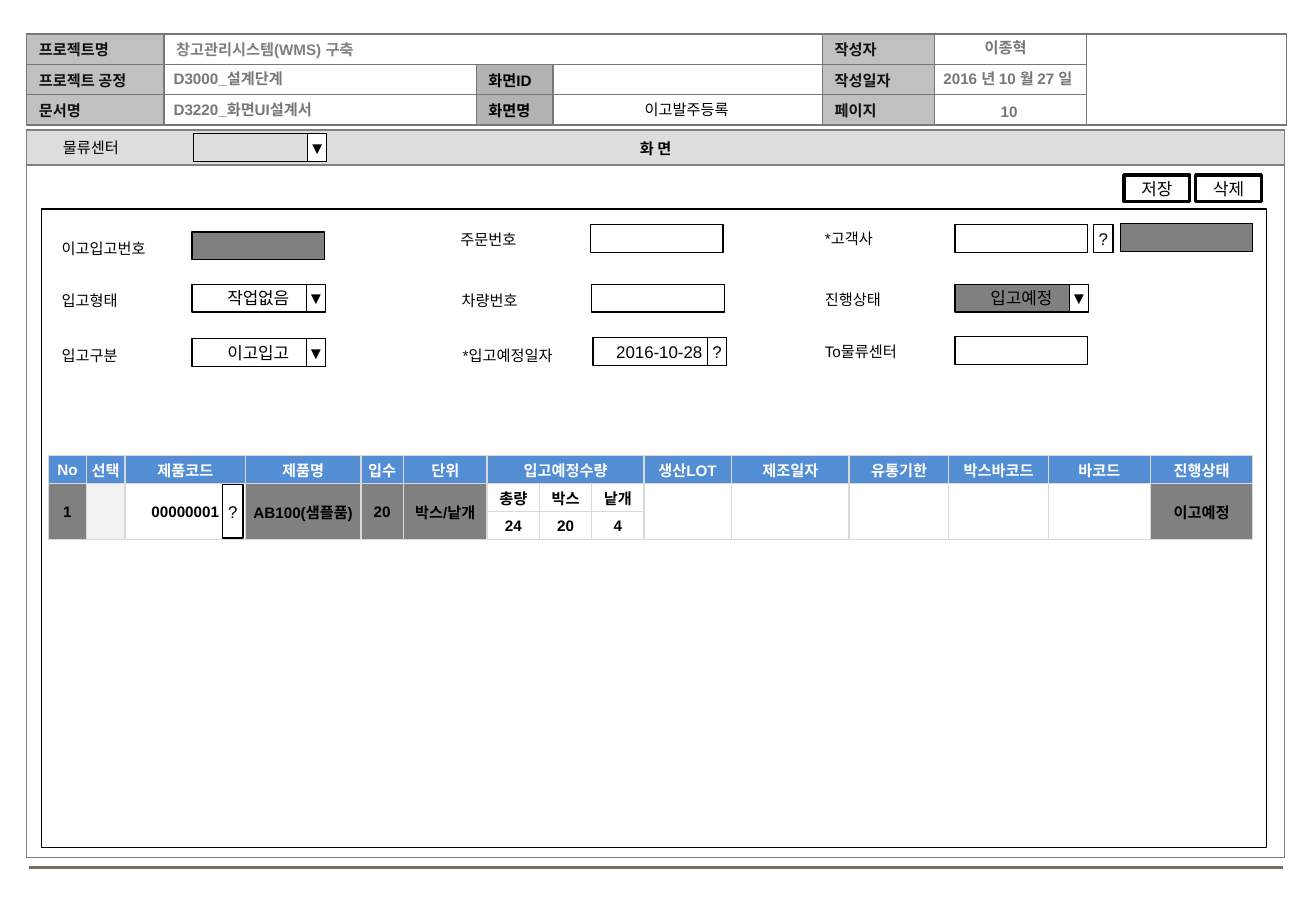
from lxml import etree
from pptx import Presentation
from pptx.dml.color import RGBColor
from pptx.enum.shapes import MSO_CONNECTOR, MSO_SHAPE
from pptx.enum.text import MSO_ANCHOR, PP_ALIGN
from pptx.oxml.ns import qn
from pptx.util import Inches, Pt

RECT = MSO_SHAPE.RECTANGLE
STRAIGHT = MSO_CONNECTOR.STRAIGHT
LEFT, CENTER = PP_ALIGN.LEFT, PP_ALIGN.CENTER
MIDDLE = MSO_ANCHOR.MIDDLE
FONT = "Arial"
COLORS = {
    "black": "000000", "white": "FFFFFF", "ink": "111111", "muted": "777777",
    "gray": "808080", "label": "C0C0C0", "sublabel": "B2B2B2", "bar": "DDDDDD",
    "header": "538ED5", "grid": "D9D9D9", "select": "F2F2F2", "rule": "7A6F54",
}
FIELD_W, FIELD_H, BUTTON_W = 1.09, 0.23, 0.16
LABEL_TO_BOX, BOX_TO_BUTTON = 1.17, 0.94

INFO_COLS = [1.13, 2.57, 0.63, 2.22, 0.92, 1.25, 1.65]
INFO_LABELS = {
    0: ("label", "ink", ["프로젝트명", "프로젝트 공정", "문서명"]),
    2: ("sublabel", "black", ["", "화면ID", "화면명"]),
    4: ("label", "ink", ["작성자", "작성일자", "페이지"]),
}
INFO_VALUES = [
    ("D3000_설계단계", 1.33, 0.52, 5.42, LEFT),
    ("D3220_화면UI설계서", 1.33, 0.78, 5.42, LEFT),
    ("이종혁", 7.49, 0.27, 1.57, CENTER),
    ("2016 년 10 월 27 일", 7.51, 0.52, 1.57, CENTER),
    ("10", 7.68, 0.79, 1.25, CENTER),
]
FIELDS = [
    ("물류센터", 0.42, 1.09, 1.10, "", None, "▼"),
    ("이고입고번호", 0.41, 1.92, 1.91, "", "gray", ""),
    ("주문번호", 3.69, 1.85, 1.85, "", None, ""),
    ("*고객사", 6.69, 1.84, 1.85, "", None, ""),
    ("입고형태", 0.41, 2.35, 2.34, "작업없음", None, "▼"),
    ("차량번호", 3.70, 2.35, 2.34, "", None, ""),
    ("진행상태", 6.69, 2.34, 2.34, "입고예정", "gray", "▼"),
    ("입고구분", 0.41, 2.80, 2.79, "이고입고", None, "▼"),
    ("*입고예정일자", 3.71, 2.80, 2.78, "2016-10-28", None, "?"),
    ("To물류센터", 6.69, 2.77, 2.77, "", None, ""),
]
ITEM_COLS = [0.31, 0.32, 0.99, 0.95, 0.35, 0.69, 0.43, 0.43, 0.43,
             0.72, 0.97, 0.82, 0.82, 0.84, 0.84]
ITEM_ROWS = [
    ["No", "선택", "제품코드", "제품명", "입수", "단위", "입고예정수량", "", "",
     "생산LOT", "제조일자", "유통기한", "박스바코드", "바코드", "진행상태"],
    ["1", "", "00000001", "AB100(샘플품)", "20", "박스/낱개", "총량", "박스", "낱개",
     "", "", "", "", "", "이고예정"],
    [""] * 6 + ["24", "20", "4"] + [""] * 6,
]
QUANTITY_COLS = range(6, 9)
LOCKED_COLS = {0, 3, 4, 5, 14}


def rgb(name):
    return RGBColor.from_string(COLORS[name])


def set_fill(fill, color):
    if color:
        fill.solid()
        fill.fore_color.rgb = rgb(color)
    else:
        fill.background()


def write(tf, text, size=9, color="black", bold=False, align=LEFT, before=0):
    p = tf.paragraphs[0]
    p.alignment = align
    p.space_before = Pt(before)
    if not text:
        p._p.get_or_add_endParaRPr().set("sz", str(size * 100))
        return
    r = p.add_run()
    r.text = text
    r.font.name = FONT
    r.font.size = Pt(size)
    r.font.bold = bold
    r.font.color.rgb = rgb(color)


def set_insets(frame, x, top, bottom):
    frame.margin_left = frame.margin_right = Inches(x)
    frame.margin_top, frame.margin_bottom = Inches(top), Inches(bottom)


def add_text(s, text, x, y, w, **style):
    tf = s.shapes.add_textbox(Inches(x), Inches(y), Inches(w), Inches(0.25)).text_frame
    tf.word_wrap = True
    write(tf, text, **style)


def add_box(s, x, y, w, h, text="", fill=None, line=0.75):
    sp = s.shapes.add_shape(RECT, Inches(x), Inches(y), Inches(w), Inches(h))
    sp.shadow.inherit = False
    set_fill(sp.fill, fill)
    sp.line.color.rgb = rgb("black")
    sp.line.width = Pt(line)
    tf = sp.text_frame
    tf.word_wrap = False
    tf.vertical_anchor = MIDDLE
    set_insets(tf, 0.02, 0.04, 0.04)
    write(tf, text, size=10, align=CENTER)


def add_field(s, label, x, label_y, box_y, value, fill, button):
    add_text(s, label, x, label_y, LABEL_TO_BOX)
    box_x = x + LABEL_TO_BOX
    add_box(s, box_x, box_y, FIELD_W, FIELD_H, value, fill)
    if button:
        add_box(s, box_x + BOX_TO_BUTTON, box_y, BUTTON_W, FIELD_H, button, "white")


def add_grid(s, x, y, cols, rows, border):
    frame = s.shapes.add_table(len(rows), len(cols), Inches(x), Inches(y),
                               Inches(sum(cols)), Inches(sum(rows)))
    table = frame.table
    table.first_row = table.horz_banding = False
    for column, width in zip(table.columns, cols):
        column.width = Inches(width)
    for row, height in zip(table.rows, rows):
        row.height = Inches(height)
    for cell in table.iter_cells():
        tcPr = cell._tc.get_or_add_tcPr()
        for side in ("a:lnL", "a:lnR", "a:lnT", "a:lnB"):
            ln = etree.SubElement(tcPr, qn(side), w=str(Pt(1)))
            solid = etree.SubElement(ln, qn("a:solidFill"))
            etree.SubElement(solid, qn("a:srgbClr"), val=COLORS[border])
    return table


def fill_cell(cell, text="", fill=None, insets=(0.01, 0.01, 0), **style):
    set_fill(cell.fill, fill)
    cell.vertical_anchor = MIDDLE
    set_insets(cell, *insets)
    write(cell.text_frame, text, **style)


def add_info_table(s):
    table = add_grid(s, 0.22, 0.28, INFO_COLS, [0.25] * 3, "muted")
    table.cell(0, 1).merge(table.cell(0, 3))
    table.cell(0, 6).merge(table.cell(2, 6))
    for row in range(3):
        for col in range(len(INFO_COLS)):
            fill, color, labels = INFO_LABELS.get(col, (None, "gray", [""] * 3))
            text = "창고관리시스템(WMS) 구축" if (row, col) == (0, 1) else labels[row]
            fill_cell(table.cell(row, col), text, fill if text else None,
                      (0.1, 0.03, 0.03), color=color, bold=True, before=2)
    for text, x, y, w, align in INFO_VALUES:
        add_text(s, text, x, y, w, color="muted", bold=True, align=align)
    add_text(s, "이고발주등록", 4.56, 0.78, 2.18, align=CENTER)


def add_screen_frame(s):
    table = add_grid(s, 0.22, 1.07, [10.35], [0.29, 5.7], "gray")
    fill_cell(table.cell(0, 0), "화 면", "bar", (0.02, 0, 0),
              bold=True, align=CENTER, before=2)
    fill_cell(table.cell(1, 0))
    add_box(s, 0.34, 1.72, 10.08, 5.26)


def add_item_table(s):
    table = add_grid(s, 0.4, 3.75, ITEM_COLS, [0.23] * 3, "grid")
    table.cell(0, QUANTITY_COLS[0]).merge(table.cell(0, QUANTITY_COLS[-1]))
    for col in range(len(ITEM_COLS)):
        if col not in QUANTITY_COLS:
            table.cell(1, col).merge(table.cell(2, col))
        body_fill = "gray" if col in LOCKED_COLS else "select" if col == 1 else None
        for row, texts in enumerate(ITEM_ROWS):
            fill_cell(table.cell(row, col), texts[col], body_fill if row else "header",
                      color="black" if row else "white", bold=True, align=CENTER)
    add_box(s, 1.83, 3.99, 0.17, 0.44, "?", "white")


def add_rule(s):
    line = s.shapes.add_connector(STRAIGHT, Inches(0.24), Inches(7.14),
                                  Inches(10.56), Inches(7.14))
    line.line.color.rgb = rgb("rule")
    line.line.width = Pt(1.75)
    etree.SubElement(line._element.spPr, qn("a:effectLst"))


def main():
    prs = Presentation()
    prs.slide_width, prs.slide_height = Inches(10.83), Inches(7.5)
    s = prs.slides.add_slide(prs.slide_layouts[6])
    add_rule(s)
    add_info_table(s)
    add_screen_frame(s)
    for text, x in (("저장", 9.25), ("삭제", 9.84)):
        add_box(s, x, 1.44, 0.54, 0.22, text, "white", 2)
    for field in FIELDS:
        add_field(s, *field)
    add_box(s, 9, 1.85, BUTTON_W, FIELD_H, "?", "white")
    add_box(s, 9.22, 1.84, FIELD_W, FIELD_H, fill="gray")
    add_item_table(s)
    prs.save("out.pptx")


main()
